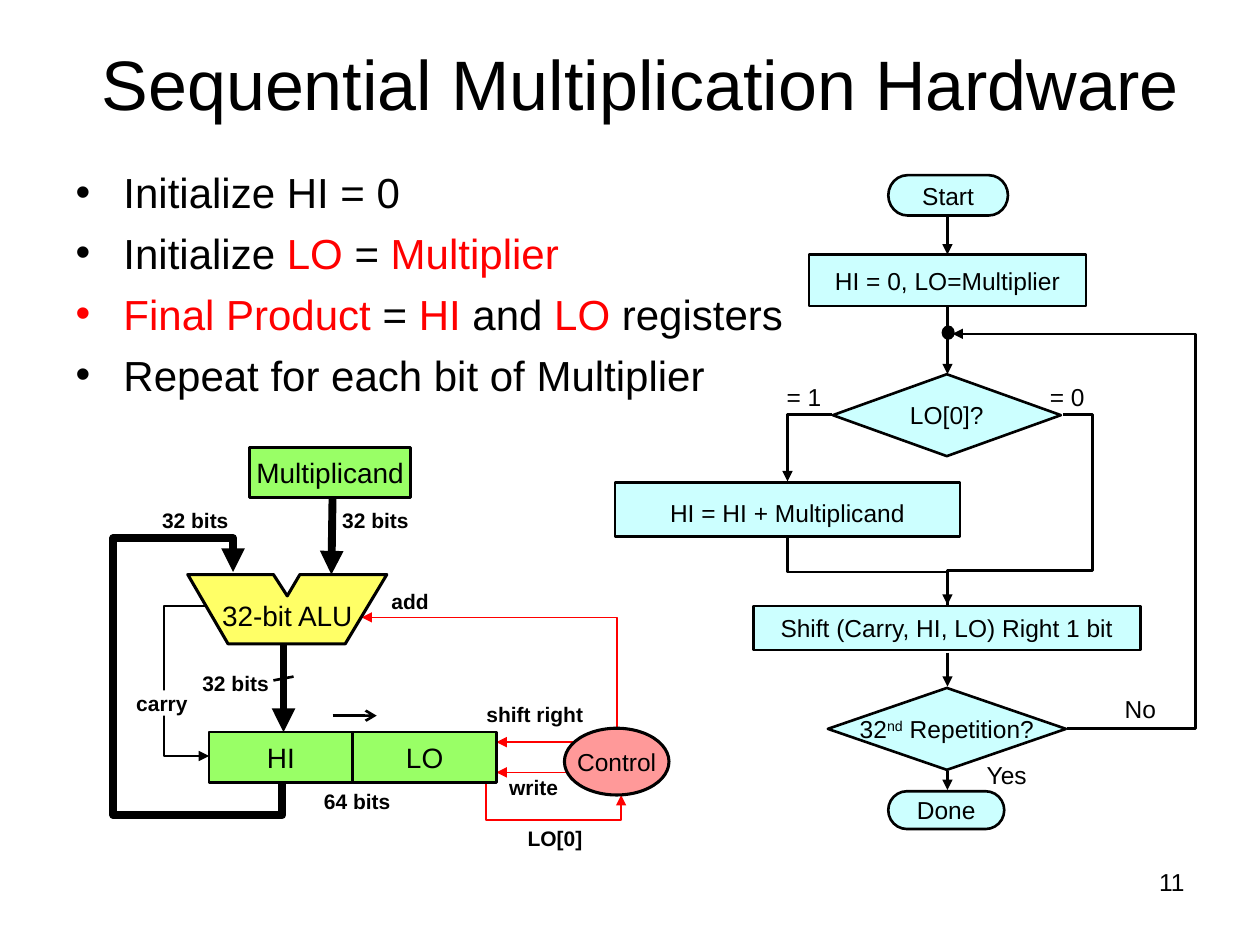
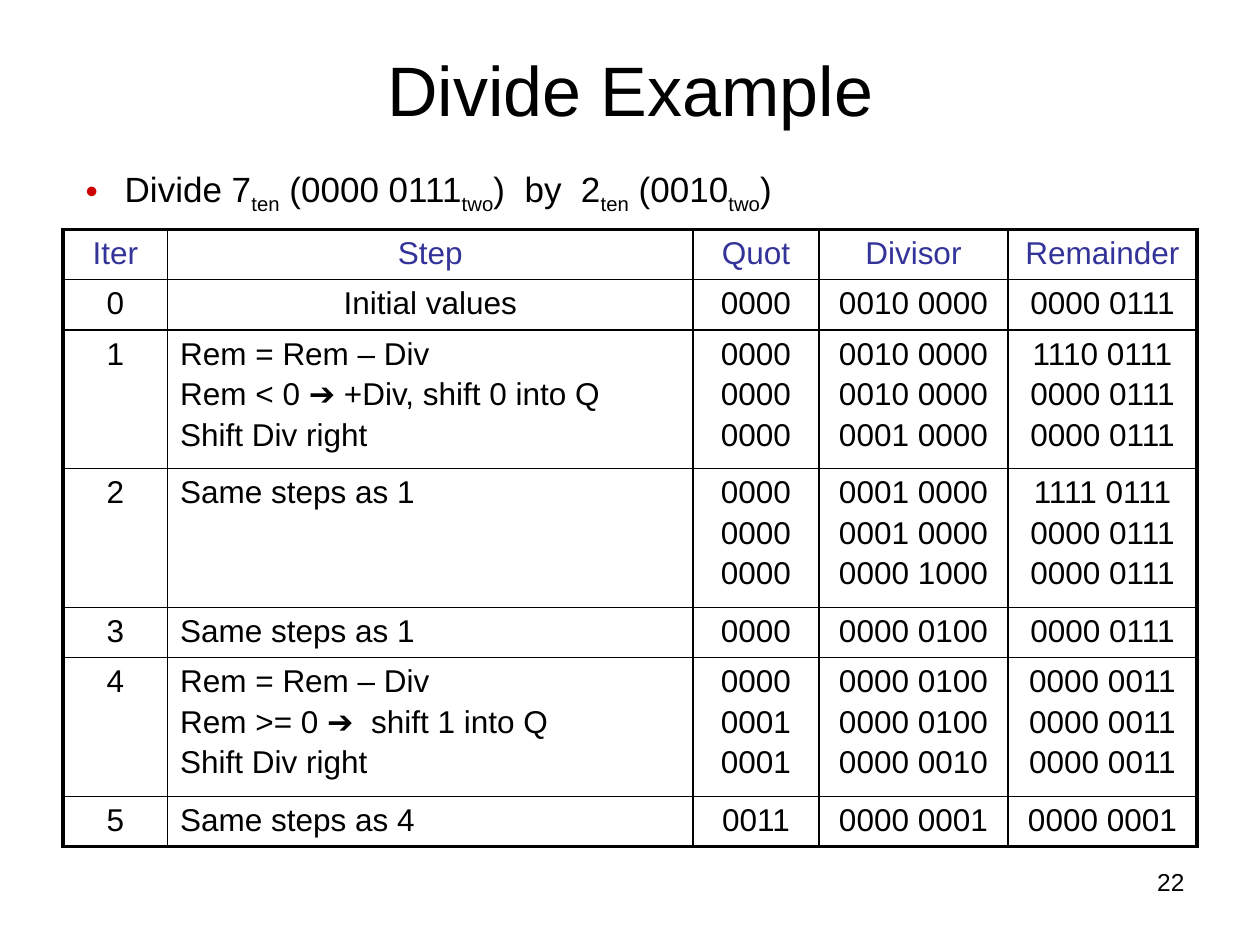
from dataclasses import dataclass

from lxml import etree
from pptx import Presentation
from pptx.dml.color import RGBColor
from pptx.enum.shapes import MSO_CONNECTOR, MSO_SHAPE
from pptx.enum.text import MSO_ANCHOR, MSO_AUTO_SIZE, PP_ALIGN
from pptx.oxml.ns import qn
from pptx.util import Inches, Pt

LEFT, CENTER, RIGHT = PP_ALIGN.LEFT, PP_ALIGN.CENTER, PP_ALIGN.RIGHT
TOP, MIDDLE = MSO_ANCHOR.TOP, MSO_ANCHOR.MIDDLE
NO_AUTOFIT = MSO_AUTO_SIZE.NONE
STRAIGHT = MSO_CONNECTOR.STRAIGHT
RECT, OVAL = MSO_SHAPE.RECTANGLE, MSO_SHAPE.OVAL
TERMINATOR = MSO_SHAPE.FLOWCHART_TERMINATOR
DECISION = MSO_SHAPE.FLOWCHART_DECISION

FONT = "Arial"
BLACK, WHITE, RED = "000000", "FFFFFF", "FF0000"
AQUA, GREEN, YELLOW, PINK = "CCFFFF", "99FF66", "FFFF66", "FF9999"
HEADER_BLUE, BULLET_RED = "333399", "CC0000"
FLOW_X = 7.52


@dataclass
class Run:
    text: str
    color: str = BLACK
    baseline: int = 0


@dataclass
class Node:
    text: str | list
    box: tuple
    kind: int = RECT
    fill: str = AQUA
    size: float = 14
    outline: float = 1.5
    line_spacing: float = 1


@dataclass
class Label:
    text: str
    box: tuple
    size: float = 12
    bold: bool = True
    fill: str | None = None


@dataclass
class Route:
    points: list
    color: str = BLACK
    width: float = 1.5
    head: str | None = None
    tail: str | None = "triangle"


def color(value: str) -> RGBColor:
    return RGBColor.from_string(value)


def inches(values) -> list:
    return [Inches(value) for value in values]


def place(shape, box: tuple) -> None:
    shape.left, shape.top, shape.width, shape.height = inches(box)


def set_frame(frame, anchor=MIDDLE, inset: tuple = (0, 0), wrap: bool = True) -> None:
    frame.auto_size = NO_AUTOFIT
    frame.word_wrap = wrap
    frame.vertical_anchor = anchor
    frame.margin_left = frame.margin_right = Inches(inset[0])
    frame.margin_top = frame.margin_bottom = Inches(inset[1])


def add_bullet(paragraph, indent: float, bullet_color: str | None) -> None:
    props = paragraph._p.get_or_add_pPr()
    props.set("marL", str(Inches(indent)))
    props.set("indent", str(-Inches(indent)))
    if bullet_color:
        holder = etree.SubElement(props, qn("a:buClr"))
        etree.SubElement(holder, qn("a:srgbClr"), val=bullet_color)
    etree.SubElement(props, qn("a:buFont"), typeface=FONT)
    etree.SubElement(props, qn("a:buChar"), char="•")


def write_text(frame, text: str | list, *, size: float = 14, text_color: str = BLACK,
               bold: bool = False, align=CENTER, space_before: float = 0,
               line_spacing: float = 1, bullet_indent: float = 0,
               bullet_color: str | None = None) -> None:
    lines = text
    if isinstance(text, str):
        lines = [[Run(line, text_color)] for line in text.split("\n")]
    for index, runs in enumerate(lines):
        paragraph = frame.add_paragraph() if index else frame.paragraphs[0]
        paragraph.alignment = align
        paragraph.line_spacing = line_spacing
        paragraph.space_before = Pt(space_before if index else 0)
        if bullet_indent:
            add_bullet(paragraph, bullet_indent, bullet_color)
        for item in runs:
            run = paragraph.add_run()
            run.text = item.text
            run.font.name, run.font.size, run.font.bold = FONT, Pt(size), bold
            run.font.color.rgb = color(item.color)
            if item.baseline:
                run._r.get_or_add_rPr().set("baseline", str(item.baseline * 1000))


def paint(shape, fill: str, outline: float) -> None:
    shape.shadow.inherit = False
    shape.fill.solid()
    shape.fill.fore_color.rgb = color(fill)
    shape.line.color.rgb = color(BLACK)
    shape.line.width = Pt(outline)


def draw_node(slide, node: Node) -> None:
    shape = slide.shapes.add_shape(node.kind, *inches(node.box))
    paint(shape, node.fill, node.outline)
    set_frame(shape.text_frame, wrap=False)
    if node.text:
        write_text(shape.text_frame, node.text, size=node.size, line_spacing=node.line_spacing)


def draw_label(slide, label: Label) -> None:
    box = slide.shapes.add_textbox(*inches(label.box))
    if label.fill:
        box.fill.solid()
        box.fill.fore_color.rgb = color(label.fill)
    set_frame(box.text_frame, wrap=False)
    write_text(box.text_frame, label.text, size=label.size, bold=label.bold)


def outline_shape(slide, points: list, close: bool):
    start, *rest = [tuple(inches(point)) for point in points]
    builder = slide.shapes.build_freeform(*start)
    builder.add_line_segments(rest, close=close)
    return builder.convert_to_shape()


def draw_route(slide, route: Route) -> None:
    if len(route.points) == 2:
        start, end = route.points
        path = slide.shapes.add_connector(STRAIGHT, *inches(start + end))
        etree.SubElement(path._element.spPr, qn("a:effectLst"))
    else:
        path = outline_shape(slide, route.points, close=False)
        path.fill.background()
        path.shadow.inherit = False
    path.line.color.rgb = color(route.color)
    path.line.width = Pt(route.width)
    stroke = path.line._get_or_add_ln()
    for tag, style in (("a:headEnd", route.head), ("a:tailEnd", route.tail)):
        if style:
            etree.SubElement(stroke, qn(tag), type=style)


def start_slide(deck, title: str, title_box: tuple, number: int):
    slide = deck.slides.add_slide(deck.slide_layouts[1])
    place(slide.shapes.title, title_box)
    set_frame(slide.shapes.title.text_frame, inset=(0, 0.05))
    write_text(slide.shapes.title.text_frame, title, size=40)
    page = slide.shapes.add_textbox(*inches((7.17, 6.83, 2.33, 0.52)))
    set_frame(page.text_frame, anchor=TOP, inset=(0.1, 0.05))
    write_text(page.text_frame, str(number), align=RIGHT)
    return slide


def fill_list(slide, lines: list, box: tuple, **text_format) -> None:
    body = slide.placeholders[1]
    place(body, box)
    set_frame(body.text_frame, anchor=TOP, inset=(0.1, 0.05))
    write_text(body.text_frame, lines, align=LEFT, **text_format)


def build_hardware(deck) -> None:
    slide = start_slide(deck, "Sequential Multiplication Hardware", (0.58, 0.03, 9, 1.25), 11)
    fill_list(slide, [
        [Run("Initialize HI = 0")],
        [Run("Initialize "), Run("LO", RED), Run(" = "), Run("Multiplier", RED)],
        [Run("Final Product", RED), Run(" ="), Run(" HI ", RED), Run("and"),
         Run(" LO ", RED), Run("registers")],
        [Run("Repeat for each bit of Multiplier")],
    ], (0.5, 1.27, 9, 2.44), size=24, space_before=6, bullet_indent=0.38)

    flow_nodes = [
        Node("", (7.48, 2.59, 0.09, 0.1), OVAL, BLACK, outline=1),
        Node("Start", (7.05, 1.39, 0.95, 0.32), TERMINATOR),
        Node("HI = 0, LO=Multiplier", (6.42, 2.02, 2.2, 0.41)),
        Node("LO[0]?", (6.61, 2.97, 1.81, 0.65), DECISION),
        Node("HI = HI + Multiplicand", (4.88, 3.83, 2.74, 0.43), line_spacing=1.2),
        Node("Shift (Carry, HI, LO) Right 1 bit", (5.98, 4.81, 3.07, 0.35)),
        Node([[Run("32"), Run("nd", baseline=30), Run(" Repetition?")]],
             (6.57, 5.46, 1.89, 0.65), DECISION),
        Node("Done", (7.05, 6.28, 0.92, 0.3), TERMINATOR),
    ]
    flow_routes = [Route([(FLOW_X, top), (FLOW_X, bottom)]) for top, bottom in
                   ((1.71, 2.02), (2.43, 2.97), (5.18, 5.45), (6.12, 6.27))]
    flow_routes += [
        Route([(6.6, 3.29), (6.25, 3.29), (6.25, 3.82)]),
        Route([(6.25, 4.27), (6.25, 4.54), (FLOW_X, 4.54), (FLOW_X, 4.8)]),
        Route([(8.44, 3.29), (8.67, 3.29), (8.67, 4.53), (FLOW_X, 4.53), (FLOW_X, 4.8)],
              tail=None),
        Route([(8.47, 5.78), (9.49, 5.78), (9.49, 2.65), (7.56, 2.65)]),
    ]
    flow_labels = [Label(text, (x, y, 0.48, 0.33), 14, False) for text, x, y in
                   (("= 1", 6.14, 2.98), ("= 0", 8.23, 2.98), ("No", 8.81, 5.46),
                    ("Yes", 7.75, 5.98))]

    datapath_routes = [
        Route([(2.25, 4.81), (1.3, 4.81), (1.3, 6), (1.66, 6)], width=1, head="oval"),
        Route([(2.24, 6.2), (2.24, 6.47), (0.9, 6.47), (0.9, 4.27), (1.85, 4.27),
               (1.85, 4.54)], width=4.5),
        Route([(2.25, 5.1), (2.25, 5.81)], width=4.5),
        Route([(2.64, 3.91), (2.63, 4.56)], width=4.5),
        Route([(3.86, 6.19), (3.86, 6.51), (4.93, 6.51), (4.93, 6.31)], RED, 1),
        Route([(4.57, 5.89), (3.94, 5.89)], RED, 1),
        Route([(4.53, 6.13), (3.94, 6.13)], RED, 1),
        Route([(4.9, 5.82), (4.9, 4.9), (2.87, 4.9)], RED, 1),
        Route([(2.64, 5.68), (2.99, 5.68)], tail="arrow"),
        Route([(2.17, 5.4), (2.33, 5.37)], tail=None),
    ]
    datapath_nodes = [
        Node("Multiplicand", (1.98, 3.55, 1.28, 0.4), fill=GREEN, size=16),
        Node("HI", (1.66, 5.81, 1.14, 0.4), fill=GREEN, size=16),
        Node("LO", (2.8, 5.81, 1.14, 0.4), fill=GREEN, size=16),
        Node("Control", (4.48, 5.78, 0.83, 0.53), OVAL, PINK, outline=1.75),
    ]
    datapath_labels = [
        Label("32-bit ALU", (1.69, 4.69, 1.18, 0.39), 16, False),
        Label("64 bits", (2.55, 6.27, 0.57, 0.17)),
        Label("32 bits", (2.69, 4.03, 0.58, 0.2)),
        Label("32 bits", (1.26, 4.03, 0.58, 0.2)),
        Label("32 bits", (1.58, 5.32, 0.58, 0.2)),
        Label("write", (3.98, 6.15, 0.51, 0.2)),
        Label("add", (3, 4.67, 0.51, 0.2)),
        Label("LO[0]", (3.92, 6.55, 0.97, 0.2)),
        Label("shift right", (3.76, 5.58, 0.97, 0.18)),
        Label("carry", (1.03, 5.48, 0.51, 0.2), fill=WHITE),
    ]

    for node in flow_nodes:
        draw_node(slide, node)
    for route in flow_routes + datapath_routes:
        draw_route(slide, route)
    alu = outline_shape(slide, [(3.07, 4.56), (2.38, 4.56), (2.28, 4.73), (2.17, 4.56),
                                (1.49, 4.56), (1.81, 5.11), (2.74, 5.11)], close=True)
    paint(alu, YELLOW, 1.75)
    for node in datapath_nodes:
        draw_node(slide, node)
    for label in flow_labels + datapath_labels:
        draw_label(slide, label)


def set_borders(cell, widths: dict) -> None:
    props = cell._tc.get_or_add_tcPr()
    for side, width in widths.items():
        border = etree.SubElement(props, qn(f"a:ln{side}"), w=str(Pt(width)))
        solid = etree.SubElement(border, qn("a:solidFill"))
        etree.SubElement(solid, qn("a:srgbClr"), val=BLACK)
    cell.fill.background()


def build_division(deck) -> None:
    slide = start_slide(deck, "Divide Example", (0.5, 0.17, 9, 1.07), 22)
    fill_list(slide, [[
        Run("Divide 7"), Run("ten", baseline=-25), Run(" (0000 0111"),
        Run("two", baseline=-25), Run(")  by  2"), Run("ten", baseline=-25),
        Run(" (0010"), Run("two", baseline=-25), Run(")"),
    ]], (0.58, 1.28, 6, 0.43), size=20, bullet_indent=0.31, bullet_color=BULLET_RED)

    steps = [
        ("Iter", "Step", "Quot", "Divisor", "Remainder"),
        ("0", "Initial values", "0000", "0010 0000", "0000 0111"),
        ("1", "Rem = Rem – Div\nRem < 0 ➔ +Div, shift 0 into Q\nShift Div right",
         "0000\n0000\n0000", "0010 0000\n0010 0000\n0001 0000",
         "1110 0111\n0000 0111\n0000 0111"),
        ("2", "Same steps as 1", "0000\n0000\n0000",
         "0001 0000\n0001 0000\n0000 1000", "1111 0111\n0000 0111\n0000 0111"),
        ("3", "Same steps as 1", "0000", "0000 0100", "0000 0111"),
        ("4", "Rem = Rem – Div\nRem >= 0 ➔  shift 1 into Q\nShift Div right",
         "0000\n0001\n0001", "0000 0100\n0000 0100\n0000 0010",
         "0000 0011\n0000 0011\n0000 0011"),
        ("5", "Same steps as 4", "0011", "0000 0001", "0000 0001"),
    ]
    column_widths = (0.83, 4.17, 1, 1.5, 1.5)
    last_row, last_column = len(steps) - 1, len(column_widths) - 1
    table = slide.shapes.add_table(len(steps), len(column_widths),
                                   *inches((0.5, 1.82, 9, 4.9))).table
    table.first_row = table.horz_banding = False
    for column, width in zip(table.columns, column_widths):
        column.width = Inches(width)
    for r, values in enumerate(steps):
        table.rows[r].height = Inches(1.1 if "\n" in values[2] else 0.4)
        for c, value in enumerate(values):
            cell = table.cell(r, c)
            edges = {"L": c == 0, "R": c == last_column, "T": r == 0, "B": r == last_row}
            set_borders(cell, {side: 2.25 if outer else 1 for side, outer in edges.items()})
            write_text(cell.text_frame, value, size=18, space_before=3,
                       text_color=BLACK if r else HEADER_BLUE,
                       align=LEFT if c == 1 and r > 1 else CENTER)


def main() -> None:
    deck = Presentation()
    deck.slide_width, deck.slide_height = Inches(10), Inches(7.5)
    build_hardware(deck)
    build_division(deck)
    deck.save("out.pptx")


if __name__ == "__main__":
    main()
